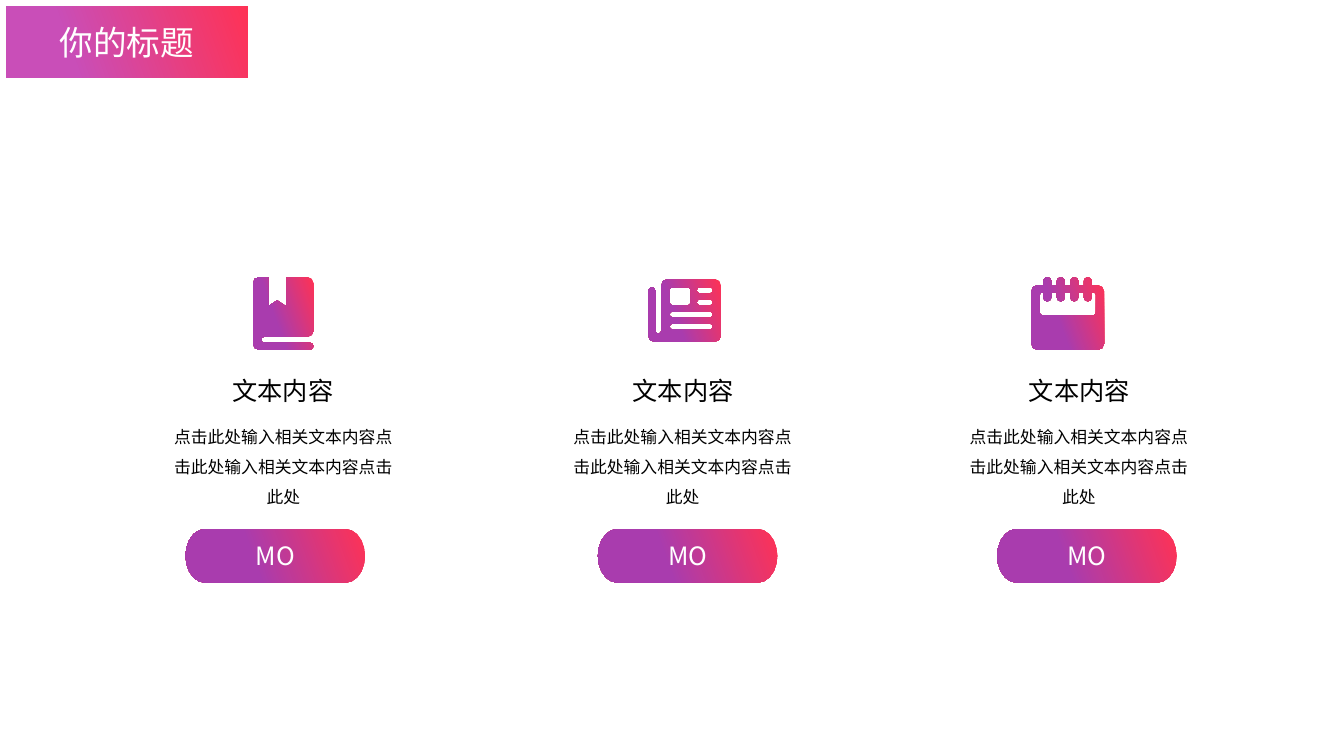
import copy
import math
from dataclasses import dataclass

import lxml.etree
import pptx
import pptx.dml.color
import pptx.enum.text
import pptx.oxml.ns
import pptx.util
from pptx.util import Inches

FONT = "Noto Sans CJK SC"
COLORS = {
    "red": "FF3255",
    "purple": "A93CAE",
    "orchid": "C94EB8",
    "black": "000000",
    "white": "FFFFFF",
}
HEADING = "文本内容"
BODY = "点击此处输入相关文本内容点击此处输入相关文本内容点击此处"


@dataclass(frozen=True)
class Corner:
    """Polygon corner in hundredths of an inch; radius_y defaults to radius."""
    x: float
    y: float
    radius: float = 0
    radius_y: float | None = None


Outline = list[Corner]


@dataclass(frozen=True)
class Column:
    icon: list[Outline]
    icon_left: float
    icon_top: float
    heading_left: float
    body_left: float
    button_left: float


def rounded_box(left: float, top: float, right: float, bottom: float,
                radius: float, radius_y: float | None = None) -> Outline:
    return [Corner(x, y, radius, radius_y)
            for x, y in ((left, top), (right, top), (right, bottom), (left, bottom))]


def calendar_rings(base: float, tip: float) -> Outline:
    corners = []
    for index in range(4):
        left = 11.75 + 13.4 * index
        right = left + 8
        corners += [Corner(left, base), Corner(left, tip, 4),
                    Corner(right, tip, 4), Corner(right, base)]
    return corners


BOOK = [[
    Corner(0, 0, 6), Corner(15, 0), Corner(15, 29, 1.5), Corner(24, 23),
    Corner(33, 29, 1.5), Corner(33, 0), Corner(60, 0, 6), Corner(60, 59, 6),
    Corner(8, 59, 3), Corner(8, 65, 3), Corner(60, 65, 3.5),
    Corner(60, 72, 3.5), Corner(0, 72, 6),
]]
NEWSPAPER = [
    [Corner(0, 8, 3.5), Corner(7, 8, 3.5), Corner(7, 54, 3), Corner(13, 54, 3),
     Corner(13, 0, 6), Corner(72, 0, 6), Corner(72, 62, 6), Corner(0, 62, 6)],
    rounded_box(21, 8, 42, 26, 3),
    *[rounded_box(left, top, 64, top + 6, 3)
      for left, top in ((48, 8), (48, 20), (21, 32), (21, 44))],
]
CALENDAR = [
    [Corner(0, 8, 6), *calendar_rings(8, 0), Corner(72, 8, 6),
     Corner(72, 72, 6), Corner(0, 72, 6)],
    [Corner(8, 15, 3), *calendar_rings(15, 24), Corner(64, 15, 3),
     Corner(64, 38, 3), Corner(8, 38, 3)],
]
BUTTON = [rounded_box(0, 0, 178, 53, 19, 26.5)]
COLUMNS = [
    Column(BOOK, 2.51, 2.75, 2.2, 1.6, 1.84),
    Column(NEWSPAPER, 6.43, 2.77, 6.17, 5.56, 5.93),
    Column(CALENDAR, 10.23, 2.75, 10.1, 9.49, 9.89),
]


def curve_points(outline: Outline) -> list[tuple[float, float]]:
    """Replace each rounded corner with a few points along its arc."""
    points = []
    for index, corner in enumerate(outline):
        if not corner.radius:
            points.append((corner.x, corner.y))
            continue
        radius_y = corner.radius if corner.radius_y is None else corner.radius_y
        ends = []
        for neighbor in (outline[index - 1], outline[(index + 1) % len(outline)]):
            dx, dy = neighbor.x - corner.x, neighbor.y - corner.y
            length = math.hypot(dx, dy)
            reach = (abs(dx) * corner.radius + abs(dy) * radius_y) / length
            ends.append((corner.x + dx / length * reach, corner.y + dy / length * reach))
        start, end = ends
        steps = 2 if corner.radius < 10 else 5
        for step in range(steps + 1):
            t = step / steps
            weights = ((1 - t) ** 2, math.sqrt(2) * t * (1 - t), t ** 2)
            total = sum(weights)
            points.append(tuple(
                round(sum(weight * value for weight, value in zip(weights, values)) / total, 2)
                for values in zip(start, (corner.x, corner.y), end)))
    return list(dict.fromkeys(points))


def style_gradient(shape, end_color: str, positions: tuple[float, float, float]) -> None:
    shape.fill.gradient()
    shape.fill.gradient_angle = 200
    stop_list = shape._element.spPr.find(
        pptx.oxml.ns.qn("a:gradFill")).find(pptx.oxml.ns.qn("a:gsLst"))
    stop_list.append(copy.deepcopy(stop_list[-1]))
    colors = ("red", end_color, end_color)
    for stop, color, position in zip(shape.fill.gradient_stops, colors, positions):
        stop.color.rgb = pptx.dml.color.RGBColor.from_string(COLORS[color])
        stop.position = position
    shape.line.fill.background()
    shape.shadow.inherit = False


def draw_outlines(slide, outlines: list[Outline], left: float, top: float):
    """Draw one freeform; outlines after the first are holes in it."""
    builder = None
    for outline in outlines:
        points = [(Inches(left + x / 100), Inches(top + y / 100))
                  for x, y in curve_points(outline)]
        if builder is None:
            builder = slide.shapes.build_freeform(*points[0], scale=1.0)
        else:
            builder.move_to(*points[0])
        builder.add_line_segments(points[1:], close=True)
    shape = builder.convert_to_shape()
    style_gradient(shape, "purple", (0, 0.62, 0.74))
    return shape


def write_text(shape, text: str, *, size: float, color: str, wrap: bool = True,
               middle: bool = False, grow: bool = False,
               line_spacing: float = 1.0) -> None:
    frame = shape.text_frame
    frame.word_wrap = wrap
    frame.auto_size = (pptx.enum.text.MSO_AUTO_SIZE.SHAPE_TO_FIT_TEXT if grow
                       else pptx.enum.text.MSO_AUTO_SIZE.NONE)
    frame.vertical_anchor = (pptx.enum.text.MSO_ANCHOR.MIDDLE if middle
                             else pptx.enum.text.MSO_ANCHOR.TOP)
    paragraph = frame.paragraphs[0]
    paragraph.alignment = pptx.enum.text.PP_ALIGN.CENTER
    paragraph.line_spacing = line_spacing
    run = paragraph.add_run()
    run.text = text
    run.font.size = pptx.util.Pt(size)
    run.font.color.rgb = pptx.dml.color.RGBColor.from_string(COLORS[color])
    run.font.name = FONT
    lxml.etree.SubElement(run._r.get_or_add_rPr(), pptx.oxml.ns.qn("a:ea"), typeface=FONT)


def draw_column(slide, column: Column) -> None:
    draw_outlines(slide, column.icon, column.icon_left, column.icon_top)
    body = slide.shapes.add_textbox(
        Inches(column.body_left), Inches(4.08), Inches(2.42), Inches(0.97))
    write_text(body, BODY, size=12, color="black", grow=True, line_spacing=1.5)
    heading = slide.shapes.add_textbox(
        Inches(column.heading_left), Inches(3.67), Inches(1.21), Inches(0.4))
    write_text(heading, HEADING, size=18, color="black", wrap=False, grow=True)
    button = draw_outlines(slide, BUTTON, column.button_left, 5.25)
    write_text(button, "MO", size=18, color="white", middle=True)


def draw_title(slide) -> None:
    title = slide.shapes.title
    title.left, title.top = Inches(0.06), Inches(0.06)
    title.width, title.height = Inches(2.4), Inches(0.71)
    style_gradient(title, "orchid", (0, 0.73, 0.83))
    write_text(title, "你的标题", size=24, color="white", middle=True)


def main() -> None:
    presentation = pptx.Presentation()
    presentation.slide_width = Inches(13.33)
    presentation.slide_height = Inches(7.5)
    slide = presentation.slides.add_slide(presentation.slide_layouts[5])
    draw_title(slide)
    for column in COLUMNS:
        draw_column(slide, column)
    presentation.save("out.pptx")


if __name__ == "__main__":
    main()
